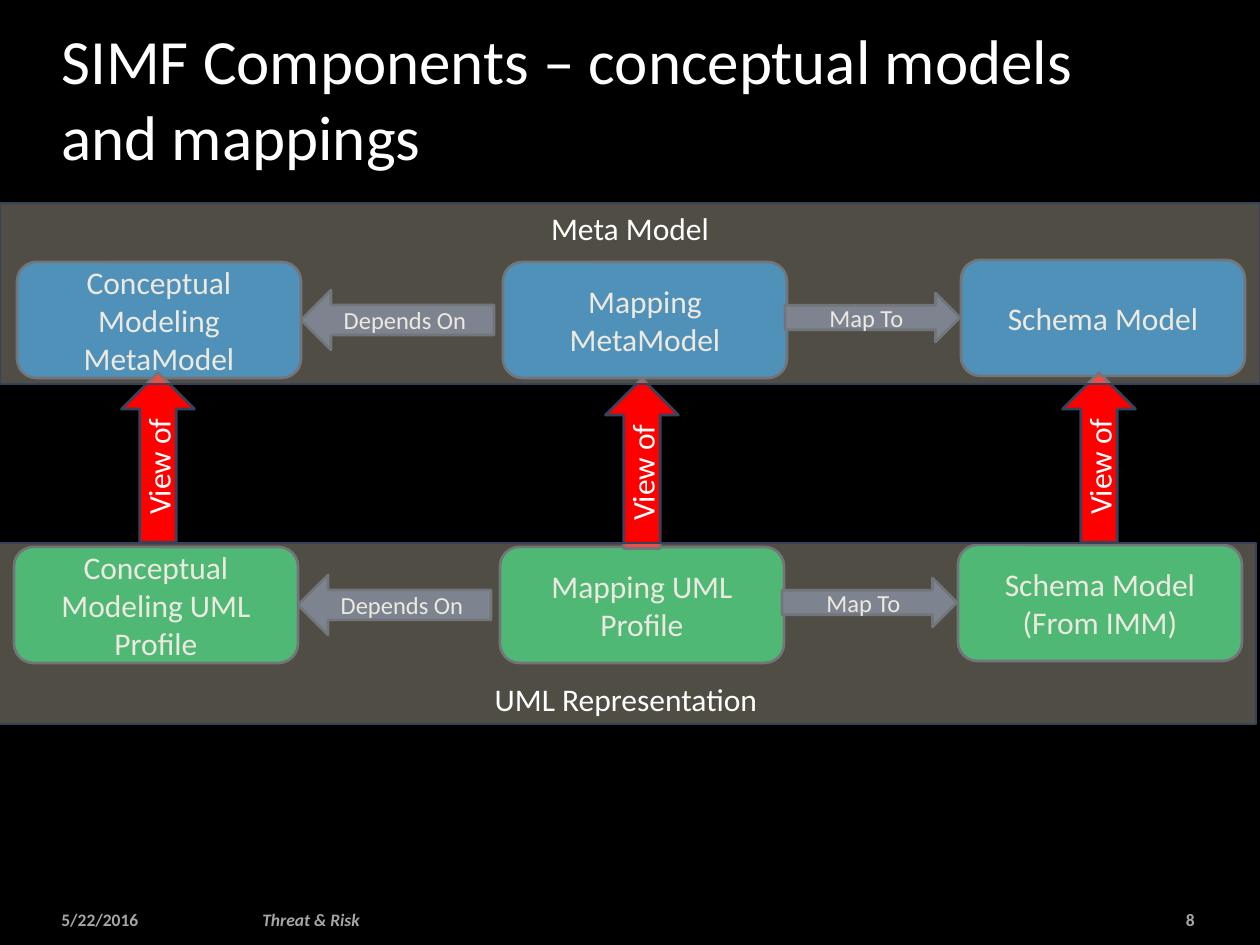
from dataclasses import dataclass

from lxml.etree import SubElement
from pptx import Presentation
from pptx.dml.color import RGBColor
from pptx.enum.shapes import MSO_SHAPE as Shape
from pptx.enum.text import MSO_ANCHOR as Anchor, PP_ALIGN as Align
from pptx.oxml.ns import qn
from pptx.util import Emu, Pt

SCALE = 914400 / 126  # EMU per px


@dataclass(frozen=True)
class Theme:
    font: str = "Calibri"
    background: str = "000000"
    text: str = "FFFFFF"
    footer: str = "A6A6A6"
    outline: str = "37435A"
    meta: str = "0070C0"
    uml: str = "00B050"
    relation: str = "4A5A7A"
    view: str = "FF0000"
    band: str = "D0C7B1"
    band_opacity: int = 39
    outline_pt: float = 1.5
    title_pt: int = 36
    body_pt: int = 18
    relation_pt: int = 14
    footer_pt: int = 10


def px(*lengths):
    return [Emu(round(length * SCALE)) for length in lengths]


class SlideBuilder:
    def __init__(self, slide, theme):
        self.slide, self.theme = slide, theme
        fill = slide.background.fill
        fill.solid()
        fill.fore_color.rgb = RGBColor.from_string(theme.background)

    def add_lines(self, frame, lines, size, color, align, anchor, bold=False, italic=False):
        frame.word_wrap = True
        frame.vertical_anchor = anchor
        for index, line in enumerate(lines):
            paragraph = frame.add_paragraph() if index else frame.paragraphs[0]
            paragraph.alignment = align
            run = paragraph.add_run()
            run.text = line
            font = run.font
            font.name, font.size, font.bold, font.italic = self.theme.font, Pt(size), bold, italic
            font.color.rgb = RGBColor.from_string(color)

    def label(self, box, text, size, color, align=Align.LEFT, anchor=Anchor.MIDDLE, **style):
        frame = self.slide.shapes.add_textbox(*px(*box)).text_frame
        self.add_lines(frame, [text], size, color, align, anchor, **style)

    def block(self, kind, box, fill, lines, size, anchor=Anchor.MIDDLE):
        shape = self.slide.shapes.add_shape(kind, *px(*box))
        shape.shadow.inherit = False
        shape.fill.solid()
        shape.fill.fore_color.rgb = RGBColor.from_string(fill)
        shape.line.color.rgb = RGBColor.from_string(self.theme.outline)
        shape.line.width = Pt(self.theme.outline_pt)
        self.add_lines(shape.text_frame, lines, size, self.theme.text, Align.CENTER, anchor)
        return shape

    def model(self, box, fill, lines):
        self.block(Shape.ROUNDED_RECTANGLE, box, fill, lines, self.theme.body_pt)

    def relation(self, kind, box, text):
        self.block(kind, box, self.theme.relation, [text], self.theme.relation_pt)

    def view_arrow(self, box):
        arrow = self.block(Shape.RIGHT_ARROW, box, self.theme.view, ["View of"], self.theme.body_pt)
        arrow.rotation = 270

    def band(self, box, text, anchor):
        theme = self.theme
        band = self.block(Shape.RECTANGLE, box, theme.band, [text], theme.body_pt, anchor)
        color = band.element.spPr.find(qn("a:solidFill"))[0]
        SubElement(color, qn("a:alpha")).set("val", str(theme.band_opacity * 1000))


def main():
    theme = Theme()
    deck = Presentation()
    deck.slide_width, deck.slide_height = px(1260, 945)
    builder = SlideBuilder(deck.slides.add_slide(deck.slide_layouts[6]), theme)

    # Footer and title
    footer_top, footer_height = 902, 34
    footers = [
        (49, 202, "5/22/2016", Align.LEFT, False),
        (1086, 121, "8", Align.RIGHT, False),
        (250, 563, "Threat & Risk", Align.LEFT, True),
    ]
    for left, width, text, align, italic in footers:
        builder.label((left, footer_top, width, footer_height), text, theme.footer_pt,
                      theme.footer, align, bold=True, italic=italic)
    builder.label((49, 32, 1058, 147), "SIMF Components – conceptual models and mappings",
                  theme.title_pt, theme.text, anchor=Anchor.BOTTOM)

    # Two rows of models with the same layout
    rows = [
        (14, 547, theme.uml, [["Conceptual Modeling UML Profile"], ["Mapping UML Profile"],
                              ["Schema Model", "(From IMM)"]]),
        (17, 262, theme.meta, [["Conceptual Modeling MetaModel"], ["Mapping MetaModel"],
                               ["Schema Model"]]),
    ]
    model_offsets = [(0, 0), (486, 0), (944, -2)]
    for left, top, fill, models in rows:
        for (dx, dy), lines in zip(model_offsets, models):
            builder.model((left + dx, top + dy, 284, 116), fill, lines)
        builder.relation(Shape.LEFT_ARROW, (left + 284, top + 28, 193, 60), "Depends On")
        builder.relation(Shape.RIGHT_ARROW, (left + 768, top + 31, 175, 49), "Map To")

    # Arrows from the UML row up to the meta row
    for left, top in [(73, 421), (557, 427), (1014, 421)]:
        builder.view_arrow((left, top, 170, 73))

    # Translucent bands over the rows
    builder.band((0, 203, 1260, 181), "Meta Model", Anchor.TOP)
    builder.band((-4, 543, 1260, 181), "UML Representation", Anchor.BOTTOM)

    deck.save("out.pptx")


if __name__ == "__main__":
    main()
